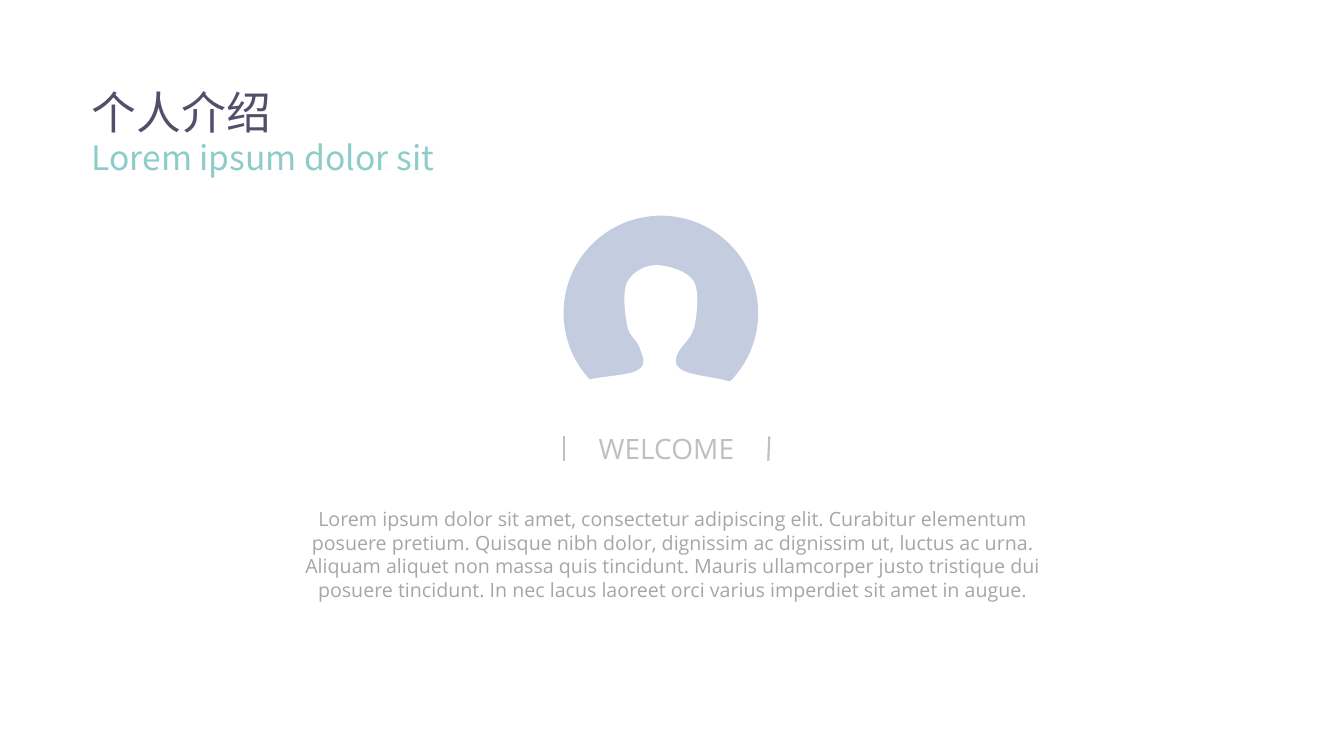
import pptx
import pptx.util
import pptx.dml.color
import pptx.enum.shapes
import pptx.enum.text
import lxml.etree
from pptx.oxml.ns import qn

RGB = pptx.dml.color.RGBColor
AVATAR_BLUE = RGB(0xC4, 0xCC, 0xDF)
WHITE = RGB(0xFF, 0xFF, 0xFF)
TITLE_PURPLE = RGB(0x52, 0x4F, 0x6A)
SUBTITLE_TEAL = RGB(0x8C, 0xCC, 0xC9)
WELCOME_GREY = RGB(0xBF, 0xBF, 0xBF)
BODY_GREY = RGB(0xA6, 0xA6, 0xA6)
HEADING_FONT = "Noto Sans CJK SC"
BODY_FONT = "Open Sans"
LEFT = pptx.enum.text.PP_ALIGN.LEFT
CENTER = pptx.enum.text.PP_ALIGN.CENTER

deck = pptx.Presentation()
deck.slide_width = pptx.util.Inches(13.33)
deck.slide_height = pptx.util.Inches(7.5)
# Square grid: 750 rows down the slide
CELL = deck.slide_height // 750
slide = deck.slides.add_slide(deck.slide_layouts[5])


def cells(*counts):
    """Turn counts of grid cells into slide lengths."""
    return [pptx.util.Emu(count * CELL) for count in counts]


def write(box, text, size, font, color, align):
    """Fill a text box or placeholder with one formatted run."""
    frame = box.text_frame
    frame.word_wrap = True
    frame.auto_size = pptx.enum.text.MSO_AUTO_SIZE.NONE
    frame.vertical_anchor = pptx.enum.text.MSO_ANCHOR.TOP
    paragraph = frame.paragraphs[0]
    paragraph.alignment = align
    run = paragraph.add_run()
    run.text = text
    run.font.size = pptx.util.Pt(size)
    run.font.name = font
    run.font.color.rgb = color
    east_asian = lxml.etree.SubElement(run.font._element, qn("a:ea"))
    east_asian.set("typeface", font)


# Avatar: a disc with a white bust over it
disc = slide.shapes.add_shape(
    pptx.enum.shapes.MSO_SHAPE.OVAL, *cells(559, 214, 193, 193))

bust_start = (651, 263)
# Each row is a Bézier curve (two handles and an end) or a straight line (an end)
bust_outline = [
    [(662, 263), (682, 269), (688, 279)],
    [(694, 289), (691, 312), (689, 323)],
    [(686, 335), (679, 340), (675, 346)],
    [(671, 352), (666, 361), (676, 367)],
    [(684, 372), (707, 374), (722, 378)],
    [(726, 379)],
    [(724, 381)],
    [(709, 396), (689, 406), (666, 408)],
    [(656, 409)],
    [(646, 408)],
    [(623, 406), (603, 396), (588, 381)],
    [(584, 377)],
    [(587, 376)],
    [(602, 373), (626, 372), (633, 367)],
    [(643, 361), (636, 351), (634, 344)],
    [(632, 337), (624, 334), (622, 323)],
    [(620, 312), (617, 290), (622, 280)],
    [(627, 270), (640, 263), (651, 263)],
]
bust_builder = slide.shapes.build_freeform(*bust_start, scale=CELL)
bust_builder.add_line_segments(
    [point for piece in bust_outline for point in piece], close=True)
bust = bust_builder.convert_to_shape()

# Join the three straight steps of each curve into one Bézier segment
steps = iter(list(bust._element.iter(qn("a:lnTo"))))
for piece in bust_outline:
    piece_steps = [next(steps) for point in piece]
    if len(piece) == 3:
        curve = lxml.etree.Element(qn("a:cubicBezTo"))
        piece_steps[0].addprevious(curve)
        for step in piece_steps:
            curve.append(step[0])
            step.getparent().remove(step)

for part, color in ((disc, AVATAR_BLUE), (bust, WHITE)):
    part.shadow.inherit = False
    part.fill.solid()
    part.fill.fore_color.rgb = color
    part.line.fill.background()

# Introduction
introduction = slide.shapes.add_textbox(*cells(281, 498, 773, 104))
write(
    introduction,
    "Lorem ipsum dolor sit amet, consectetur adipiscing elit. Curabitur elementum "
    "posuere pretium. Quisque nibh dolor, dignissim ac dignissim ut, luctus ac urna. "
    "Aliquam aliquet non massa quis tincidunt. Mauris ullamcorper justo tristique dui "
    "posuere tincidunt. In nec lacus laoreet orci varius imperdiet sit amet in augue.",
    14, BODY_FONT, BODY_GREY, CENTER)

# Welcome label between two bars
welcome = slide.shapes.add_group_shape()
label = welcome.shapes.add_textbox(*cells(536, 423, 250, 44))
write(label, "WELCOME", 20, BODY_FONT, WELCOME_GREY, CENTER)
for top_x, bottom_x in ((763, 762), (559, 559)):
    bar = welcome.shapes.add_connector(
        pptx.enum.shapes.MSO_CONNECTOR.STRAIGHT, *cells(top_x, 433, bottom_x, 457))
    bar.line.color.rgb = WELCOME_GREY
    bar.line.width = pptx.util.Pt(1.5)
    lxml.etree.SubElement(bar._element.spPr, qn("a:effectLst"))

# Heading
title = slide.shapes.title
title.left, title.top, title.width, title.height = cells(81, 79, 277, 64)
write(title, "个人介绍", 32, HEADING_FONT, TITLE_PURPLE, LEFT)
subtitle = slide.shapes.add_textbox(*cells(81, 131, 735, 50))
write(subtitle, "Lorem ipsum dolor sit", 24, HEADING_FONT, SUBTITLE_TEAL, LEFT)

deck.save("out.pptx")
